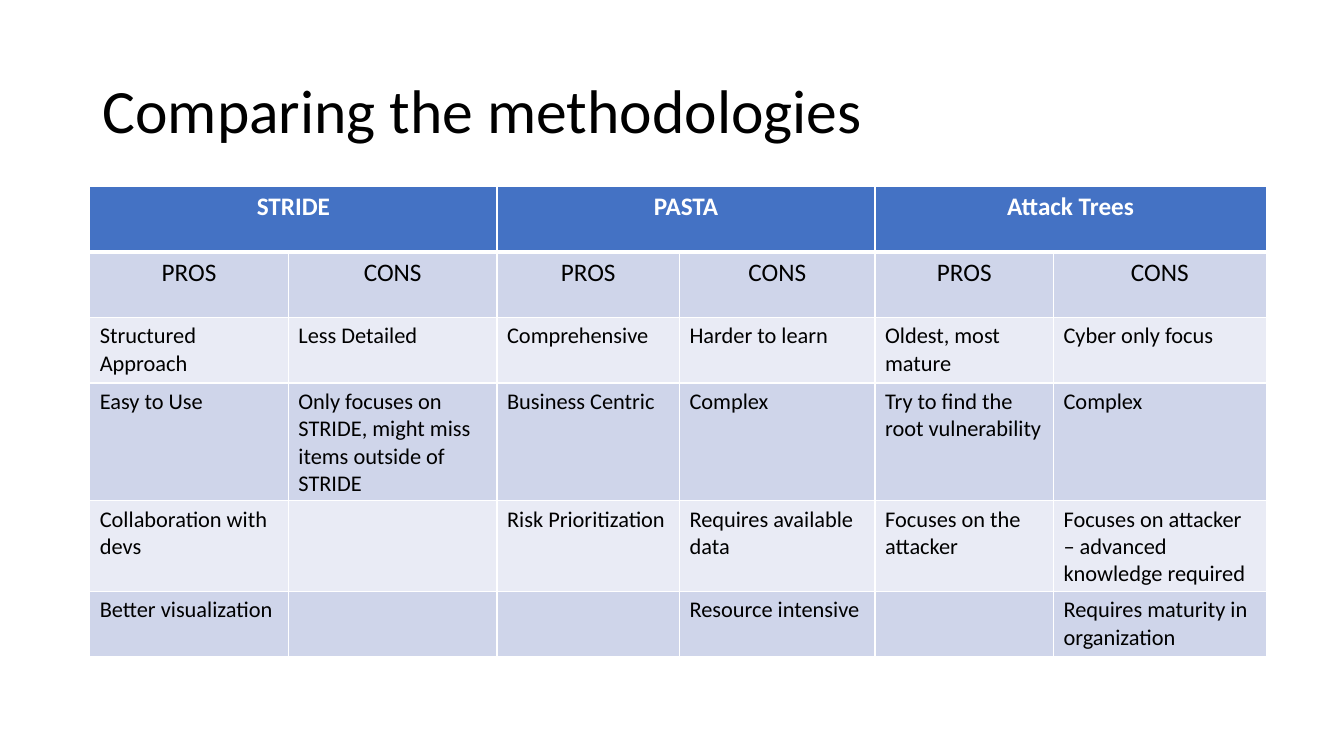
"""Build a slide with a table of pros and cons for three threat modeling methods."""
from lxml import etree
from pptx import Presentation
from pptx import util as u
from pptx.dml.color import RGBColor
from pptx.enum import text
from pptx.oxml.ns import qn

THEME = {
    "font": "Calibri", "ink": "000000", "white": "FFFFFF",
    "head": "4472C4", "bands": ("E9EBF5", "CFD5EA"),
    "title": 44, "label": 18, "body": 16, "thin": 1, "thick": 3,
}
GROUPS = ("STRIDE", "PASTA", "Attack Trees")
ROWS = (
    [name for group in GROUPS for name in (group, "")],
    ["PROS", "CONS"] * len(GROUPS),
    ["Structured Approach", "Less Detailed", "Comprehensive",
     "Harder to learn", "Oldest, most mature", "Cyber only focus"],
    ["Easy to Use", "Only focuses on STRIDE, might miss items outside of STRIDE",
     "Business Centric", "Complex", "Try to find the root vulnerability", "Complex"],
    ["Collaboration with devs", "", "Risk Prioritization", "Requires available data",
     "Focuses on the attacker", "Focuses on attacker – advanced knowledge required"],
    ["Better visualization", "", "", "Resource intensive", "",
     "Requires maturity in organization"],
)
COLS = (1.97, 2.07, 1.81, 1.94, 1.77, 2.11)
HIGH = 0.65


def write(par, words, size, color, bold=False):
    """Add one styled run to a paragraph."""
    run = par.add_run()
    run.text = words
    run.font.name = THEME["font"]
    run.font.size = u.Pt(size)
    run.font.bold = bold
    run.font.color.rgb = RGBColor.from_string(color)


def edge(cell, side, width):
    """Draw one white border of a cell."""
    line = etree.SubElement(cell._tc.get_or_add_tcPr(), qn("a:ln" + side),
                            w=str(u.Pt(width)))
    fill = etree.SubElement(line, qn("a:solidFill"))
    etree.SubElement(fill, qn("a:srgbClr"), val=THEME["white"])


deck = Presentation()
deck.slide_width, deck.slide_height = u.Inches(13.33), u.Inches(7.5)
slide = deck.slides.add_slide(deck.slide_layouts[6])

title = slide.shapes.add_textbox(
    u.Inches(0.92), u.Inches(0.4), u.Inches(11.5), u.Inches(1.45)).text_frame
title.word_wrap = True
title.vertical_anchor = text.MSO_ANCHOR.MIDDLE
title.paragraphs[0].line_spacing = 0.9
write(title.paragraphs[0], "Comparing the methodologies", THEME["title"], THEME["ink"])

table = slide.shapes.add_table(
    len(ROWS), len(COLS), u.Inches(0.89), u.Inches(1.85),
    u.Inches(sum(COLS)), u.Inches(HIGH * len(ROWS))).table
for col, wide in zip(table.columns, COLS):
    col.width = u.Inches(wide)

for r, row in enumerate(ROWS):
    table.rows[r].height = u.Inches(HIGH)
    head = r == 0
    size = THEME["label"] if r < 2 else THEME["body"]
    for c, words in enumerate(row):
        cell = table.cell(r, c)
        for side in "LRTB":
            rule = (r, side) in ((0, "B"), (1, "T"))
            edge(cell, side, THEME["thick" if rule else "thin"])
        cell.fill.solid()
        cell.fill.fore_color.rgb = RGBColor.from_string(
            THEME["head"] if head else THEME["bands"][r % 2])
        par = cell.text_frame.paragraphs[0]
        if r < 2:
            par.alignment = text.PP_ALIGN.CENTER
        if words:
            write(par, words, size, THEME["white" if head else "ink"], head)

for c in range(0, len(COLS), 2):
    table.cell(0, c).merge(table.cell(0, c + 1))

deck.save("out.pptx")
